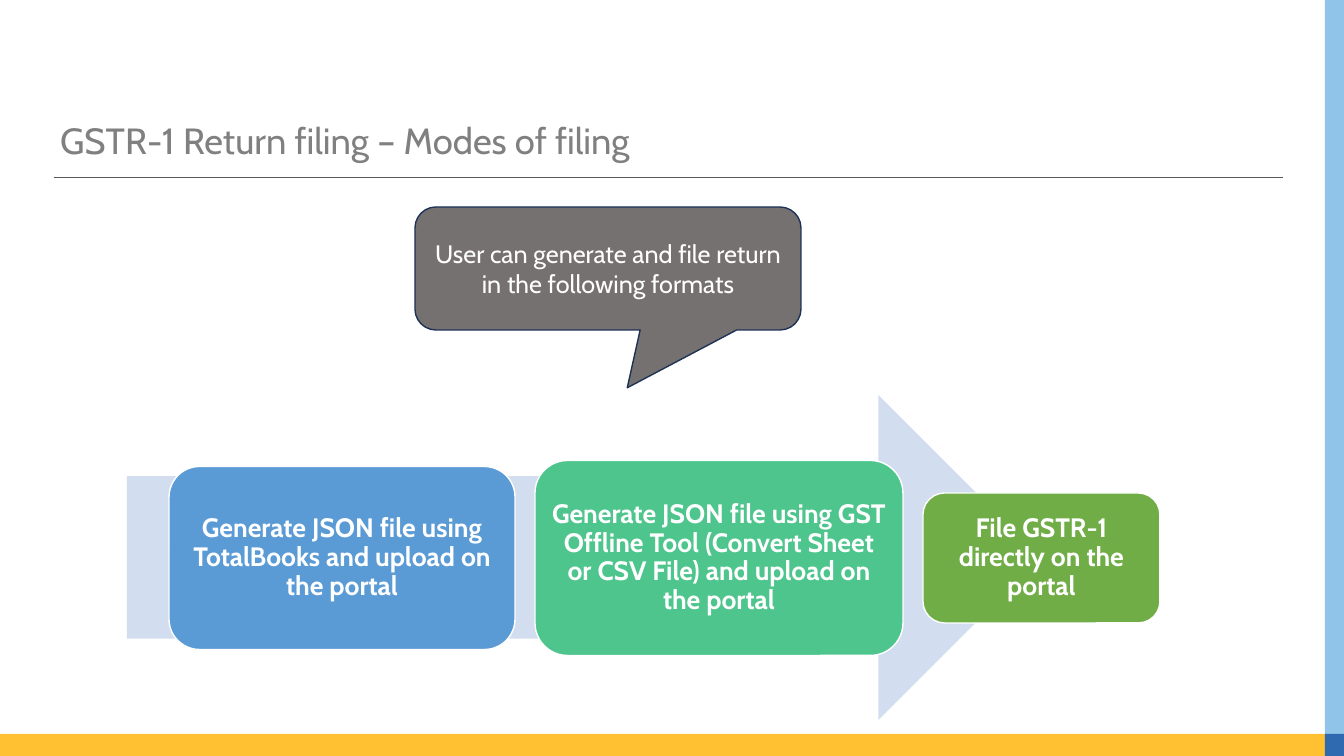
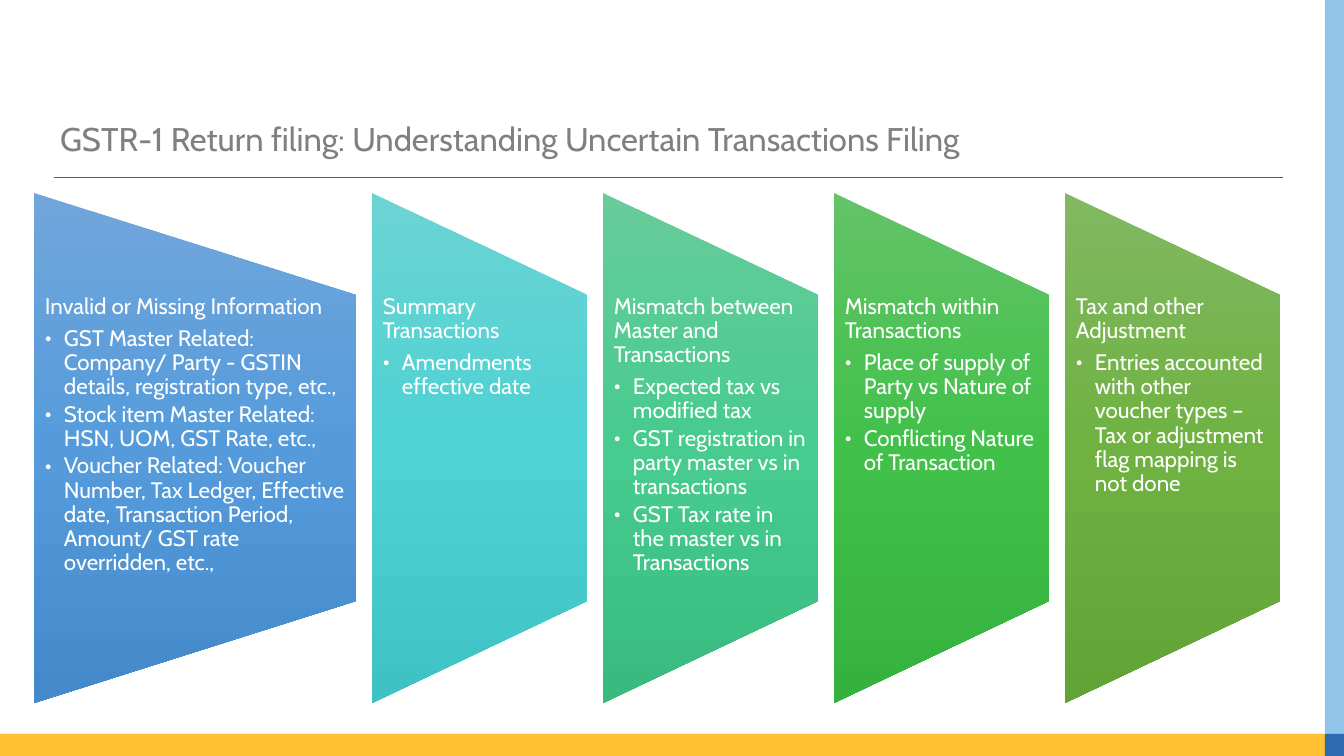
from lxml import etree
from pptx import Presentation
from pptx.dml.color import RGBColor
from pptx.enum.shapes import MSO_CONNECTOR, MSO_SHAPE
from pptx.enum.text import MSO_ANCHOR, MSO_AUTO_SIZE, PP_ALIGN
from pptx.oxml.ns import qn
from pptx.util import Emu, Pt

RECTANGLE = MSO_SHAPE.RECTANGLE
ROUNDED = MSO_SHAPE.ROUNDED_RECTANGLE
ARROW = MSO_SHAPE.RIGHT_ARROW
CALLOUT = MSO_SHAPE.ROUNDED_RECTANGULAR_CALLOUT
TRAPEZOID = MSO_SHAPE.FLOWCHART_MANUAL_OPERATION
STRAIGHT = MSO_CONNECTOR.STRAIGHT
TOP, MIDDLE = MSO_ANCHOR.TOP, MSO_ANCHOR.MIDDLE
LEFT, CENTER = PP_ALIGN.LEFT, PP_ALIGN.CENTER
NO_FIT = MSO_AUTO_SIZE.NONE

FONT = "Cabin"
TITLE_ONLY = 5
EMU_PER_PX = 914400 / 100.8
WIDTH, HEIGHT = 1344, 756
COLORS = {
    "yellow": "FFC031",
    "sky": "90C4E9",
    "navy": "2F69B0",
    "rule": "595959",
    "title": "808080",
    "white": "FFFFFF",
    "arrow": "D2DEEF",
    "blue": "5B9BD5",
    "teal": "4DC58D",
    "green": "70AD47",
    "callout": "767171",
    "outline": "1E3256",
}

MODES = [
    (169, 346, 183, "blue", "Generate JSON file using TotalBooks and upload on the portal"),
    (535, 368, 195, "teal", "Generate JSON file using GST Offline Tool (Convert Sheet or CSV File) and upload on the portal"),
    (923, 237, 130, "green", "File GSTR-1 directly on the portal"),
]

CATEGORIES = [
    (322, ("71A6DB", "559BDB", "448ACA"), "Invalid or Missing Information", [
        "GST Master Related: Company/ Party - GSTIN details, registration type, etc.,",
        "Stock item Master Related: HSN, UOM, GST Rate, etc.,",
        "Voucher Related: Voucher Number, Tax Ledger, Effective date, Transaction Period, Amount/ GST rate overridden, etc.,",
    ]),
    (215, ("6CD3D3", "4ED2D3", "3EC2C3"), "Summary Transactions", [
        "Amendments effective date",
    ]),
    (215, ("67CC9A", "47CB8E", "39BB7F"), "Mismatch between Master and Transactions", [
        "Expected tax vs modified tax",
        "GST registration in party master vs in transactions",
        "GST Tax rate in the master vs in Transactions",
    ]),
    (215, ("63C368", "42C14A", "34B23D"), "Mismatch within Transactions", [
        "Place of supply of Party vs Nature of supply",
        "Conflicting Nature of Transaction",
    ]),
    (215, ("81B861", "6FB242", "62A336"), "Tax and other Adjustment", [
        "Entries accounted with other voucher types – Tax or adjustment flag mapping is not done",
    ]),
]


def px(length):
    return Emu(round(length * EMU_PER_PX))


def color(name):
    return RGBColor.from_string(COLORS[name])


class SlideBuilder:
    def __init__(self):
        self.deck = Presentation()
        self.deck.slide_width = px(WIDTH)
        self.deck.slide_height = px(HEIGHT)
        self.slide = None

    def new_slide(self, title, size):
        self.slide = self.deck.slides.add_slide(self.deck.slide_layouts[TITLE_ONLY])
        self.shape(RECTANGLE, 0, 734, 1325, 22, "yellow")
        self.shape(RECTANGLE, 1325, 0, 19, 734, "sky")
        self.shape(RECTANGLE, 1325, 734, 19, 22, "navy")
        self.rule(54, 1283, 177)
        box = self.slide.shapes.title
        box.left, box.top, box.width, box.height = px(50), px(118), px(1230), px(50)
        self.frame(box, TOP)
        box.text_frame.text = title
        self.format(box.text_frame.paragraphs[0], size, "title", LEFT, 0.9)

    def rule(self, start, end, top):
        line = self.slide.shapes.add_connector(STRAIGHT, px(start), px(top), px(end), px(top))
        line.line.color.rgb = color("rule")
        line.line.width = Pt(0.5)
        etree.SubElement(line._element.spPr, qn("a:effectLst"))

    def shape(self, kind, left, top, width, height, fill=None, line=None):
        shape = self.slide.shapes.add_shape(kind, px(left), px(top), px(width), px(height))
        shape.shadow.inherit = False
        if fill:
            shape.fill.solid()
            shape.fill.fore_color.rgb = color(fill)
        if line:
            shape.line.color.rgb = color(line)
            shape.line.width = Pt(1)
        else:
            shape.line.fill.background()
        return shape

    def frame(self, box, anchor, side=10, edge=5):
        frame = box.text_frame
        frame.word_wrap = True
        frame.auto_size = NO_FIT
        frame.vertical_anchor = anchor
        frame.margin_left = frame.margin_right = px(side)
        frame.margin_top = frame.margin_bottom = px(edge)
        return frame

    def format(self, para, size, ink, align, spacing, after=0, bold=False):
        para.alignment = align
        para.line_spacing = spacing
        para.space_after = Pt(after)
        for run in para.runs:
            run.font.name = FONT
            run.font.size = Pt(size)
            run.font.bold = bold
            run.font.color.rgb = color(ink)

    def label(self, shape, text, size, spacing, side, bold=False):
        frame = self.frame(shape, MIDDLE, side)
        frame.text = text
        self.format(frame.paragraphs[0], size, "white", CENTER, spacing, bold=bold)

    def gradient(self, shape, stops):
        shape.fill.gradient()
        grad = shape._element.spPr.find(qn("a:gradFill"))
        grad.set("rotWithShape", "0")
        stop_list = grad.find(qn("a:gsLst"))
        for old_stop in list(stop_list):
            stop_list.remove(old_stop)
        for index, value in enumerate(stops):
            stop = etree.SubElement(stop_list, qn("a:gs"), pos=str(index * 50000))
            etree.SubElement(stop, qn("a:srgbClr"), val=value)
        direction = grad.find(qn("a:lin"))
        direction.set("ang", "5400000")
        direction.set("scaled", "0")

    def panel(self, left, top, width, height, stops):
        shift = (width - height) / 2
        shape = self.shape(TRAPEZOID, left + shift, top - shift, height, width)
        shape.rotation = 270
        self.gradient(shape, stops)

    def bullet(self, para):
        properties = para._p.get_or_add_pPr()
        properties.set("marL", str(px(19)))
        properties.set("indent", str(-px(19)))
        etree.SubElement(properties, qn("a:buFont"), typeface=FONT)
        etree.SubElement(properties, qn("a:buChar"), char="•")

    def bullet_list(self, left, top, width, height, heading, items):
        box = self.slide.shapes.add_textbox(px(left), px(top), px(width), px(height))
        frame = self.frame(box, TOP, 11, 0)
        frame.text = heading
        self.format(frame.paragraphs[0], 16, "white", LEFT, 0.9, 5.6)
        for item in items:
            para = frame.add_paragraph()
            para.text = item
            self.bullet(para)
            self.format(para, 16, "white", LEFT, 0.9, 2.4)


def build_modes(builder):
    builder.new_slide("GSTR-1 Return filing – Modes of filing", 26)
    builder.shape(ARROW, 127, 395, 914, 325, "arrow")
    for left, width, height, fill, text in MODES:
        card = builder.shape(ROUNDED, left, 558 - height / 2, width, height, fill, "white")
        builder.label(card, text, 19, 0.9, 6, True)
    callout = builder.shape(CALLOUT, 415, 207, 386, 123, "callout", "outline")
    for index, value in enumerate((0.05, 0.97, 0.17)):
        callout.adjustments[index] = value
    builder.label(callout, "User can generate and file return in the following formats", 18, 1, 10)


def build_categories(builder):
    builder.new_slide("GSTR-1 Return filing: Understanding Uncertain Transactions Filing", 23.4)
    left, gap = 34, 16
    for width, stops, heading, items in CATEGORIES:
        builder.panel(left, 193, width, 510, stops)
        builder.bullet_list(left, 295, width, 306, heading, items)
        left += width + gap


def main():
    builder = SlideBuilder()
    build_modes(builder)
    build_categories(builder)
    builder.deck.save("out.pptx")


if __name__ == "__main__":
    main()
